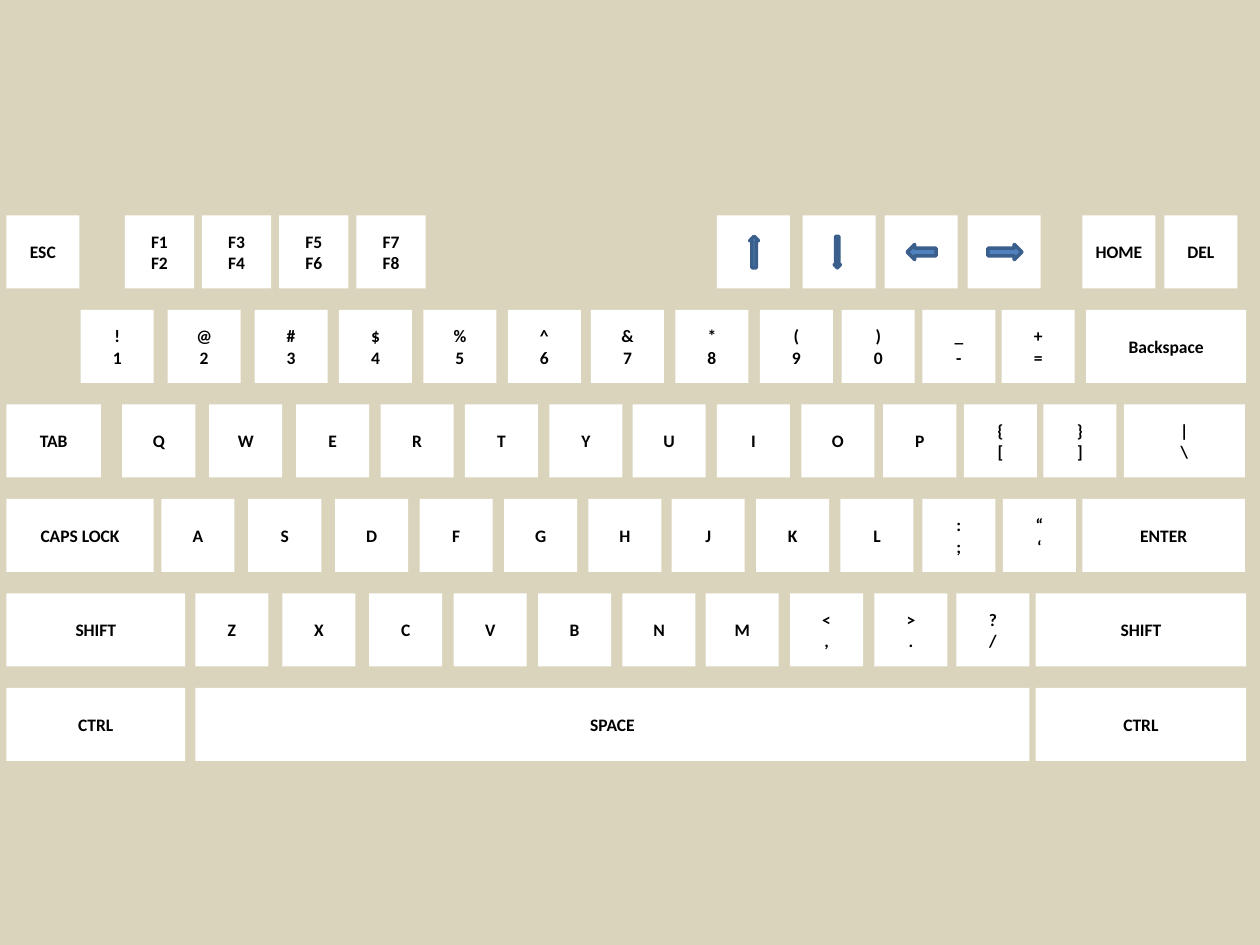
from pptx import Presentation
from pptx.dml.color import RGBColor
from pptx.enum import shapes, text
from pptx.util import Inches, Pt

SIDE, TOP, PITCH = 0.58, 1.71, 0.75
STEPS = [0, 0.69, 1.38, 2.05, 2.72, 3.39, 4.05, 4.72, 5.39, 6.04, 6.68, 7.31]

TYPED = [
    (1, 0.64, "!1 @2 #3 $4 %5 ^6 &7 *8 (9 )0 _- +="),
    (2, 0.97, "Q W E R T Y U I O P {[ }]"),
    (3, 1.28, "A S D F G H J K L :; “‘"),
    (4, 1.55, "Z X C V B N M <, >. ?/"),
]
WIDE = [
    (0, 0.05, SIDE, "ESC"),
    (0, 8.59, SIDE, "HOME"),
    (0, 9.24, SIDE, "DEL"),
    (1, 8.62, 1.27, "Backspace"),
    (2, 0.05, 0.75, "TAB"),
    (2, 8.92, 0.96, "|\n\\"),
    (3, 0.05, 1.17, "CAPS LOCK"),
    (3, 8.59, 1.29, "ENTER"),
    (4, 0.05, 1.42, "SHIFT"),
    (4, 8.22, 1.67, "SHIFT"),
    (5, 0.05, 1.42, "CTRL"),
    (5, 1.55, 6.62, "SPACE"),
    (5, 8.22, 1.67, "CTRL"),
]
FUNCS = ["F1\nF2", "F3\nF4", "F5\nF6", "F7\nF8"]
KIND = shapes.MSO_SHAPE
ARROWS = [
    (5.69, KIND.UP_ARROW, 5.95, 0.07, 0.25),
    (6.37, KIND.DOWN_ARROW, 6.62, 0.05, 0.25),
    (7.02, KIND.LEFT_ARROW, 7.2, 0.23, 0.12),
    (7.68, KIND.RIGHT_ARROW, 7.84, 0.27, 0.12),
]


def color(code):
    return RGBColor.from_string(code)


def draw(home, kind, x, y, w, h, fill, edge=None):
    part = home.add_shape(kind, Inches(x), Inches(y), Inches(w), Inches(h))
    part.shadow.inherit = False
    part.fill.solid()
    part.fill.fore_color.rgb = color(fill)
    if edge:
        part.line.color.rgb = color(edge)
        part.line.width = Pt(2)
    else:
        part.line.fill.background()
    return part


def key(home, row, x, w, label=""):
    cap = draw(home, KIND.RECTANGLE, x, TOP + row * PITCH, w, SIDE, "FFFFFF")
    if not label:
        return
    frame = cap.text_frame
    frame.word_wrap = True
    frame.vertical_anchor = text.MSO_ANCHOR.MIDDLE
    frame.margin_left = frame.margin_right = 0
    for i, line in enumerate(label.split("\n")):
        para = frame.paragraphs[0] if i == 0 else frame.add_paragraph()
        para.alignment = text.PP_ALIGN.CENTER
        run = para.add_run()
        run.text = line
        font = run.font
        font.name, font.size, font.bold = "Calibri", Pt(10), True
        font.color.rgb = color("000000")


deck = Presentation()
deck.slide_width, deck.slide_height = Inches(10), Inches(7.5)
slide = deck.slides.add_slide(deck.slide_layouts[6])
slide.background.fill.solid()
slide.background.fill.fore_color.rgb = color("D9D4BB")
board = slide.shapes

for row, x, w, label in WIDE:
    key(board, row, x, w, label)
for i, label in enumerate(FUNCS):
    key(board, 0, 0.99 + i * 0.613, 0.55, label)
for row, start, labels in TYPED:
    for step, label in zip(STEPS, labels.split()):
        key(board, row, start + step, SIDE, "\n".join(label))

pad = board.add_group_shape().shapes
for x, *rest in ARROWS:
    key(pad, 0, x, SIDE)
for _, kind, x, w, h in ARROWS:
    draw(pad, kind, x, TOP + (SIDE - h) / 2, w, h, "4F81BD", "3A5F8C")

deck.save("out.pptx")
